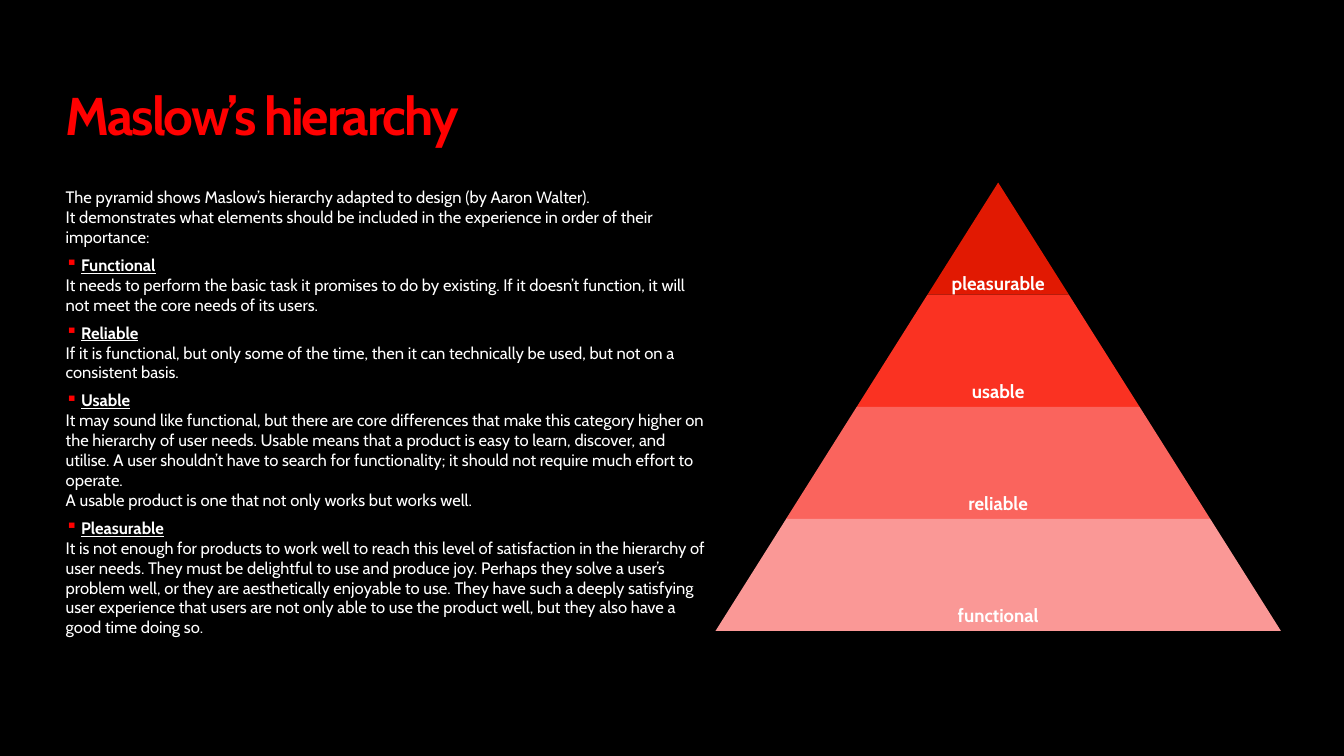
from lxml.etree import SubElement
from pptx import Presentation
from pptx.dml.color import RGBColor
from pptx.enum.shapes import MSO_SHAPE as Shape
from pptx.enum.text import MSO_ANCHOR as Anchor, PP_ALIGN as Align
from pptx.oxml.ns import qn
from pptx.util import Inches, Pt

# Content
TITLE = "Maslow’s hierarchy"
INTRO = [
    "The pyramid shows Maslow’s hierarchy adapted to design (by Aaron Walter).",
    "It demonstrates what elements should be included in the experience in order of their importance:",
]
LEVELS = [
    ("Functional", [
        "It needs to perform the basic task it promises to do by existing. If it doesn’t function, "
        "it will not meet the core needs of its users."]),
    ("Reliable", [
        "If it is functional, but only some of the time, then it can technically be used, "
        "but not on a consistent basis."]),
    ("Usable", [
        "It may sound like functional, but there are core differences that make this category higher "
        "on the hierarchy of user needs. Usable means that a product is easy to learn, discover, and "
        "utilise. A user shouldn’t have to search for functionality; it should not require much "
        "effort to operate.",
        "A usable product is one that not only works but works well."]),
    ("Pleasurable", [
        "It is not enough for products to work well to reach this level of satisfaction in the "
        "hierarchy of user needs. They must be delightful to use and produce joy. Perhaps they solve "
        "a user’s problem well, or they are aesthetically enjoyable to use. They have such a deeply "
        "satisfying user experience that users are not only able to use the product well, but they "
        "also have a good time doing so."]),
]

# Style
FONT = "Cabin"
BLACK = RGBColor(0x00, 0x00, 0x00)
WHITE = RGBColor(0xFF, 0xFF, 0xFF)
RED = RGBColor(0xFF, 0x00, 0x00)
TIERS = [  # from the top of the pyramid: label, fill, gap below the label
    ("pleasurable", RGBColor(0xE1, 0x19, 0x02), 0),
    ("usable", RGBColor(0xFA, 0x32, 0x22), 0.05),
    ("reliable", RGBColor(0xFA, 0x64, 0x5D), 0.05),
    ("functional", RGBColor(0xFA, 0x98, 0x96), 0.05),
]

# Layout, in inches
WIDTH, HEIGHT = 14.07, 7.91
MARGIN, TITLE_TOP, CONTENT_TOP = 0.59, 0.91, 1.91
PYRAMID_CENTRE, TIER_WIDTH, TIER_HEIGHT = 10.45, 1.48, 1.173
BULLET_INDENT = 0.16


def box(left, top, width, height):
    return [Inches(value) for value in (left, top, width, height)]


def style(paragraph, size, color, bold=False):
    font = paragraph.font
    font.name, font.size, font.bold = FONT, Pt(size), bold
    font.color.rgb = color


def add_bullet(paragraph):
    properties = paragraph._p.get_or_add_pPr()
    properties.set("marL", str(Inches(BULLET_INDENT)))
    properties.set("indent", str(-Inches(BULLET_INDENT)))
    color = SubElement(properties, qn("a:buClr"))
    SubElement(color, qn("a:srgbClr"), val=str(RED))
    SubElement(properties, qn("a:buChar"), char="▪")


presentation = Presentation()
presentation.slide_width, presentation.slide_height = Inches(WIDTH), Inches(HEIGHT)
slide = presentation.slides.add_slide(presentation.slide_layouts[5])
slide.background.fill.solid()
slide.background.fill.fore_color.rgb = BLACK

# Title
title = slide.shapes.title
title.left, title.top, title.width, title.height = box(MARGIN, TITLE_TOP, 12.15, 1.17)
title.text_frame.text = TITLE
title.text_frame.vertical_anchor = Anchor.TOP
heading = title.text_frame.paragraphs[0]
heading.alignment, heading.line_spacing = Align.LEFT, 0.85
style(heading, 40, RED, bold=True)
heading.runs[0].font._element.set("spc", "-160")

# Explanation
body = slide.shapes.add_textbox(*box(MARGIN, CONTENT_TOP, 6.9, 4.86)).text_frame
body.word_wrap = True
lines = [(text, False) for text in INTRO]
for name, texts in LEVELS:
    lines += [(name, True)] + [(text, False) for text in texts]
for index, (text, is_level) in enumerate(lines):
    paragraph = body.add_paragraph() if index else body.paragraphs[0]
    paragraph.text = text
    if is_level:
        paragraph.space_before = Pt(6)
        add_bullet(paragraph)
        paragraph.font.underline = True
    style(paragraph, 12.5, WHITE, bold=is_level)

# Pyramid: each tier is one step wider than the tier above
pyramid = slide.shapes.add_group_shape().shapes
for row, (label, color, gap) in enumerate(TIERS):
    width = TIER_WIDTH * (row + 1)
    place = box(PYRAMID_CENTRE - width / 2, CONTENT_TOP + row * TIER_HEIGHT, width, TIER_HEIGHT)
    tier = pyramid.add_shape(Shape.TRAPEZOID, *place)
    tier.adjustments[0] = TIER_WIDTH / 2 / TIER_HEIGHT
    tier.shadow.inherit = False
    tier.fill.solid()
    tier.fill.fore_color.rgb = color
    tier.line.fill.background()

    frame = pyramid.add_textbox(*place).text_frame
    frame.word_wrap = True
    frame.vertical_anchor = Anchor.BOTTOM
    frame.margin_left = frame.margin_right = frame.margin_top = Inches(0.02)
    frame.margin_bottom = Inches(gap)
    paragraph = frame.paragraphs[0]
    paragraph.text, paragraph.alignment = label, Align.CENTER
    style(paragraph, 14, WHITE, bold=True)

presentation.save("out.pptx")
